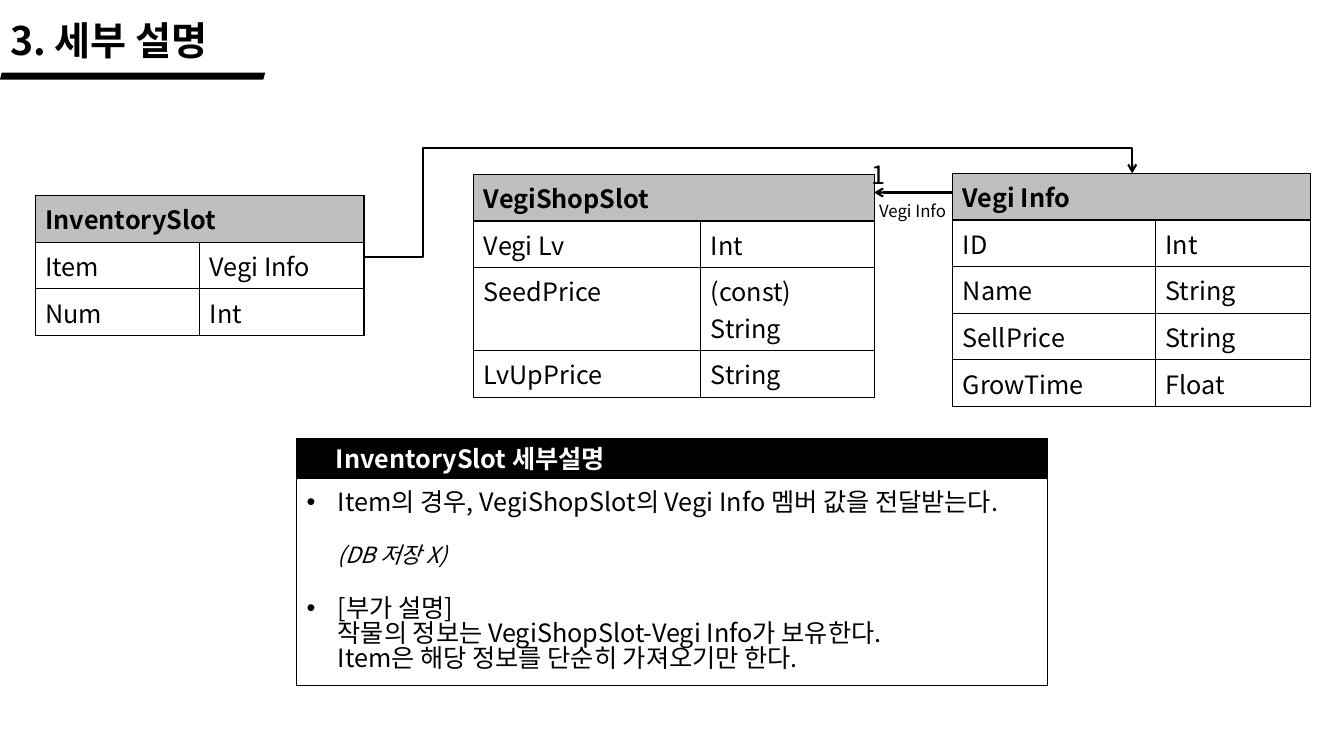
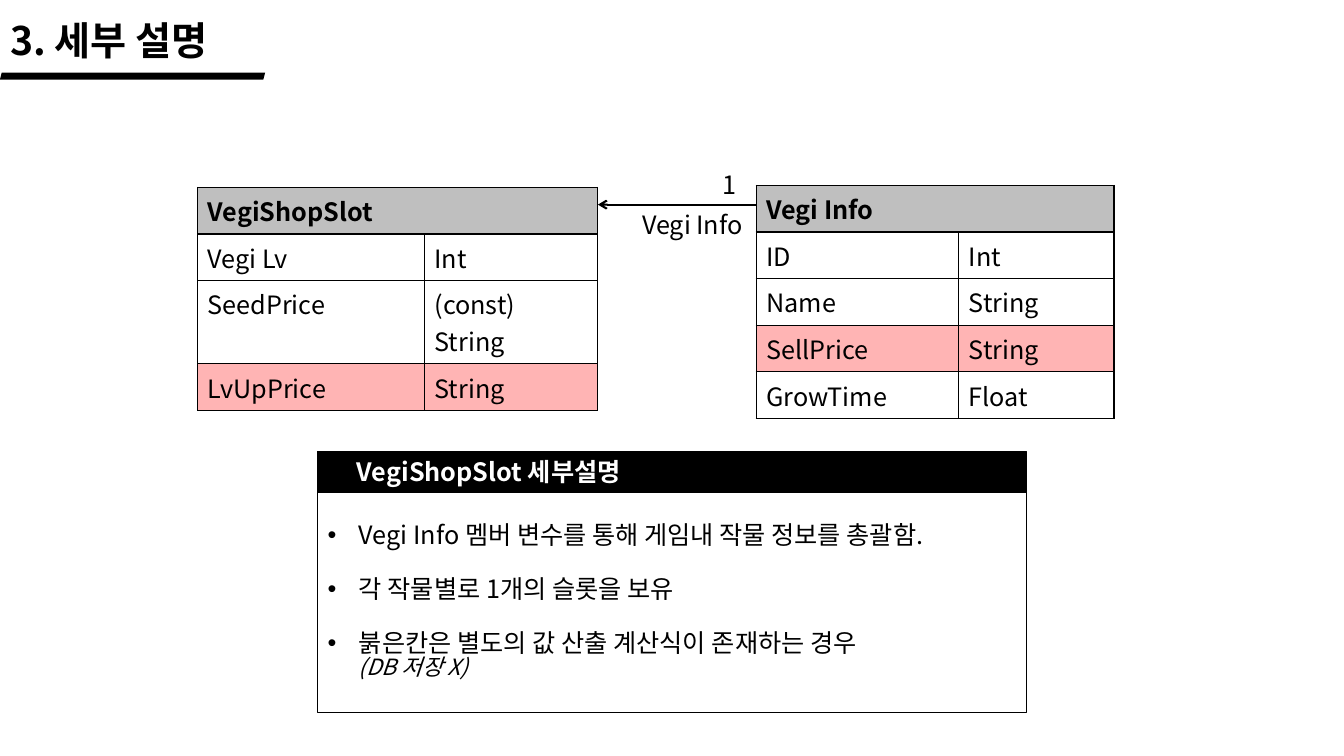
from lxml import etree
from pptx import Presentation
from pptx import util as u
from pptx.dml import color
from pptx.enum import shapes, text
from pptx.oxml import ns

FONT = "Noto Sans CJK KR"
COLORS = {"ink": "000000", "paper": "FFFFFF", "header": "BFBFBF", "computed": "FFB4B4"}
TITLE = "3. 세부 설명"
ROW = 0.41
BAND = 0.4
TABLES = {
    "InventorySlot": {"columns": (1.63, 1.63),
                      "rows": [("Item", "Vegi Info"), ("Num", "Int")]},
    "Vegi Info": {"columns": (2.01, 1.54),
                  "rows": [("ID", "Int"), ("Name", "String"),
                           ("SellPrice", "String"), ("GrowTime", "Float")]},
    "VegiShopSlot": {"columns": (2.25, 1.72),
                     "rows": [("Vegi Lv", "Int"), ("SeedPrice", "(const) String"),
                              ("LvUpPrice", "String")]},
}
NOTE = "(DB 저장 X)"
SLIDES = [
    {
        "tables": {"InventorySlot": (0.35, 1.94), "Vegi Info": (9.45, 1.72),
                   "VegiShopSlot": (4.7, 1.73)},
        "computed": (),
        "arrow": (8.67, 9.45, 1.91),
        "elbow": {"start": (11.23, 1.72), "end": (3.61, 2.55), "top": 1.47, "turn": 4.2},
        "labels": [("1", (8.55, 1.53, 0.34, 0.4), 18),
                   ("Vegi Info", (8.62, 1.94, 0.89, 0.3), 12)],
        "panel": (2.94, 4.35, 7.45, 2.45),
        "heading": "InventorySlot 세부설명",
        "body": [
            {"text": "Item의 경우, VegiShopSlot의 Vegi Info 멤버 값을 전달받는다.", "bullet": True},
            {"text": NOTE, "gap": 21, "size": 16, "italic": True},
            {"text": "[부가 설명]", "gap": 21, "bullet": True},
            {"text": "작물의 정보는 VegiShopSlot-Vegi Info가 보유한다."},
            {"text": "Item은 해당 정보를 단순히 가져오기만 한다."},
        ],
    },
    {
        "tables": {"Vegi Info": (7.5, 1.84), "VegiShopSlot": (1.96, 1.86)},
        "computed": ("SellPrice", "LvUpPrice"),
        "arrow": (5.93, 7.5, 2.03),
        "elbow": None,
        "labels": [("1", (7.07, 1.63, 0.34, 0.4), 18),
                   ("Vegi Info", (6.27, 2.03, 1.23, 0.4), 18)],
        "panel": (3.15, 4.48, 7.03, 2.59),
        "heading": "VegiShopSlot 세부설명",
        "body": [
            {"text": "Vegi Info 멤버 변수를 통해 게임내 작물 정보를 총괄함.", "bullet": True},
            {"text": "각 작물별로 1개의 슬롯을 보유", "gap": 21, "bullet": True},
            {"text": "붉은칸은 별도의 값 산출 계산식이 존재하는 경우", "gap": 21, "bullet": True},
            {"text": NOTE, "size": 16, "italic": True},
        ],
    },
]


def rgb(name):
    return color.RGBColor.from_string(COLORS[name])


def inches(values):
    return [u.Inches(value) for value in values]


def add_xml(parent, tag, **attributes):
    return etree.SubElement(parent, ns.qn(tag), attributes)


def write(paragraph, content, size=18, ink="ink", bold=False, italic=False):
    paragraph.alignment = text.PP_ALIGN.LEFT
    run = paragraph.add_run()
    run.text = content
    font = run.font
    font.size, font.bold, font.italic = u.Pt(size), bold, italic
    font.color.rgb = rgb(ink)
    font.name = FONT
    add_xml(font._element, "a:ea", typeface=FONT)


def place(shape, box):
    shape.left, shape.top, shape.width, shape.height = inches(box)


def paint(shape, fill, line=None):
    shape.fill.solid()
    shape.fill.fore_color.rgb = rgb(fill)
    if line:
        shape.line.color.rgb = rgb(line)
        shape.line.width = u.Pt(1)
    else:
        shape.line.fill.background()


def add_block(slide, preset, box, line=None):
    shape = slide.shapes.add_shape(preset, *inches(box))
    shape.shadow.inherit = False
    paint(shape, "ink", line)
    return shape


def add_title(slide):
    title = slide.shapes.title
    place(title, (0, 0.11, 2.8, 0.57))
    frame = title.text_frame
    frame.auto_size = text.MSO_AUTO_SIZE.NONE
    frame.vertical_anchor = text.MSO_ANCHOR.MIDDLE
    write(frame.paragraphs[0], TITLE, size=28, bold=True)
    add_block(slide, shapes.MSO_SHAPE.PARALLELOGRAM, (0, 0.72, 2.63, 0.07))


def fill_cell(cell, content, fill, bold=False):
    write(cell.text_frame.paragraphs[0], content, bold=bold)
    properties = cell._tc.get_or_add_tcPr()
    for side in ("a:lnL", "a:lnR", "a:lnT", "a:lnB"):
        border = add_xml(properties, side, w=str(u.Pt(1)))
        add_xml(add_xml(border, "a:solidFill"), "a:srgbClr", val=COLORS["ink"])
    cell.fill.solid()
    cell.fill.fore_color.rgb = rgb(fill)


def add_class_table(slide, name, position, computed):
    columns, rows = TABLES[name]["columns"], TABLES[name]["rows"]
    count = len(rows) + 1
    box = (*position, sum(columns), ROW * count)
    table = slide.shapes.add_table(count, len(columns), *inches(box)).table
    for column, width in zip(table.columns, columns):
        column.width = u.Inches(width)
    table.cell(0, 0).merge(table.cell(0, 1))
    for index, content in enumerate((name, "")):
        fill_cell(table.cell(0, index), content, "header", bold=True)
    for row_index, row in enumerate(rows, 1):
        fill = "computed" if row[0] in computed else "paper"
        for column_index, content in enumerate(row):
            fill_cell(table.cell(row_index, column_index), content, fill)


def add_arrow(slide, kind, start, end):
    connector = slide.shapes.add_connector(kind, *inches(start + end))
    connector.line.color.rgb = rgb("ink")
    connector.line.width = u.Pt(1.5)
    add_xml(connector.line._get_or_add_ln(), "a:headEnd", type="arrow")
    add_xml(connector._element.spPr, "a:effectLst")
    return connector


def add_elbow(slide, start, end, top, turn):
    across, down = start[0] - end[0], end[1] - start[1]
    middle_x, middle_y = (start[0] + end[0]) / 2, (start[1] + end[1]) / 2
    connector = add_arrow(slide, shapes.MSO_CONNECTOR.ELBOW,
                          (middle_x + down / 2, middle_y + across / 2),
                          (middle_x - down / 2, middle_y - across / 2))
    properties = connector._element.spPr
    properties.find(ns.qn("a:xfrm")).set("rot", str(270 * 60000))
    geometry = properties.find(ns.qn("a:prstGeom"))
    geometry.set("prst", "bentConnector4")
    adjustments = geometry.find(ns.qn("a:avLst"))
    shares = ((top - start[1]) / down, (start[0] - turn) / across)
    for index, share in enumerate(shares, 1):
        add_xml(adjustments, "a:gd", name=f"adj{index}", fmla=f"val {round(share * 100000)}")


def add_label(slide, content, box, size):
    frame = slide.shapes.add_textbox(*inches(box)).text_frame
    frame.word_wrap = False
    write(frame.paragraphs[0], content, size=size)


def add_panel(slide, box, heading, body):
    left, top, width, height = box
    band = add_block(slide, shapes.MSO_SHAPE.RECTANGLE, (left, top, width, BAND), "ink")
    band.text_frame.margin_left = u.Inches(0.39)
    band.text_frame.vertical_anchor = text.MSO_ANCHOR.MIDDLE
    write(band.text_frame.paragraphs[0], heading, ink="paper", bold=True)

    panel = slide.placeholders[1]
    place(panel, (left, top + BAND, width, height - BAND))
    paint(panel, "paper", "ink")
    frame = panel.text_frame
    frame.auto_size = text.MSO_AUTO_SIZE.NONE
    frame.vertical_anchor = text.MSO_ANCHOR.MIDDLE
    frame.margin_right = u.Inches(0.02)
    for index, item in enumerate(body):
        paragraph = frame.add_paragraph() if index else frame.paragraphs[0]
        paragraph.line_spacing = 0.82
        paragraph.space_before = u.Pt(item.get("gap", 0))
        bulleted = item.get("bullet", False)
        properties = paragraph._p.get_or_add_pPr()
        properties.set("marL", str(u.Inches(0.31)))
        properties.set("indent", str(u.Inches(-0.31 if bulleted else 0)))
        if bulleted:
            add_xml(properties, "a:buFont", typeface="Arial")
            add_xml(properties, "a:buChar", char="•")
        else:
            add_xml(properties, "a:buNone")
        write(paragraph, item["text"], size=item.get("size", 18),
              italic=item.get("italic", False))


presentation = Presentation()
presentation.slide_width, presentation.slide_height = inches((13.33, 7.5))
for content in SLIDES:
    slide = presentation.slides.add_slide(presentation.slide_layouts[1])
    add_title(slide)
    for name, position in content["tables"].items():
        add_class_table(slide, name, position, content["computed"])
    tip, tail, level = content["arrow"]
    add_arrow(slide, shapes.MSO_CONNECTOR.STRAIGHT, (tip, level), (tail, level))
    if content["elbow"]:
        add_elbow(slide, **content["elbow"])
    for label in content["labels"]:
        add_label(slide, *label)
    add_panel(slide, content["panel"], content["heading"], content["body"])
presentation.save("out.pptx")
